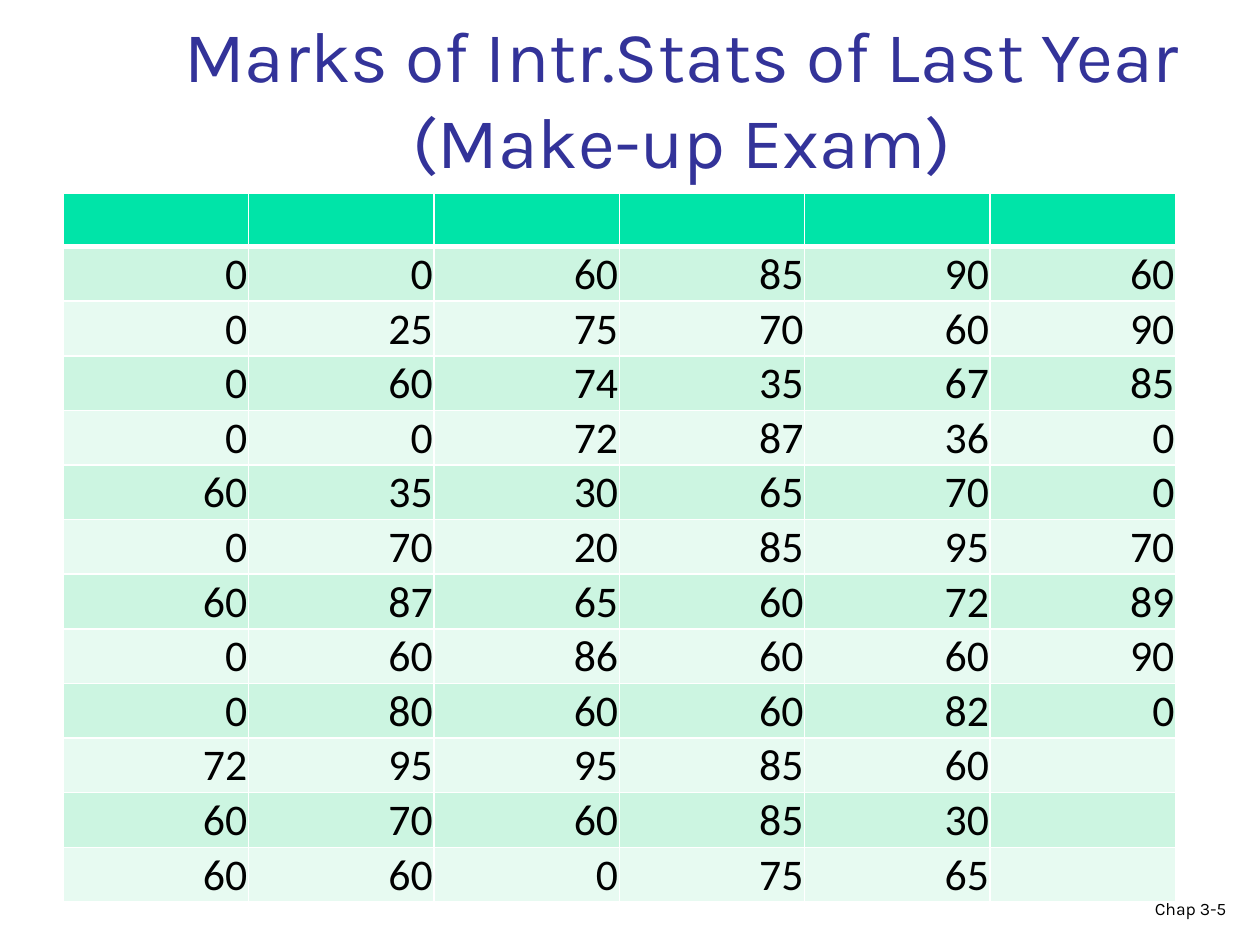
from pptx import Presentation
from pptx.dml.color import RGBColor
from pptx.enum.text import MSO_ANCHOR as Anchor, MSO_AUTO_SIZE as AutoSize, PP_ALIGN as Align
from pptx.oxml import parse_xml
from pptx.oxml.ns import nsdecls
from pptx.util import Inches, Pt

TITLE = {"name": "Karla", "size": Pt(41), "color": "333399"}
MARK = {"name": "Calibri", "size": Pt(25), "color": "000000"}
PAGE_LABEL = {"name": "Karla", "size": Pt(10), "color": "000000"}

HEADER_FILL = "00E4A8"
BAND_FILLS = ("CCF5E1", "E7FAF1")
BORDER_COLOR = "FFFFFF"
CELL_MARGINS = {"margin_left": Inches(0.01), "margin_right": Inches(0.01),
                "margin_top": Inches(0.01), "margin_bottom": 0}

# Exam marks, row by row; None leaves a cell empty
MARKS = [
    [0, 0, 60, 85, 90, 60],
    [0, 25, 75, 70, 60, 90],
    [0, 60, 74, 35, 67, 85],
    [0, 0, 72, 87, 36, 0],
    [60, 35, 30, 65, 70, 0],
    [0, 70, 20, 85, 95, 70],
    [60, 87, 65, 60, 72, 89],
    [0, 60, 86, 60, 60, 90],
    [0, 80, 60, 60, 82, 0],
    [72, 95, 95, 85, 60, None],
    [60, 70, 60, 85, 30, None],
    [60, 60, 0, 75, 65, None],
]


def rgb(color):
    return RGBColor.from_string(color)


def write_text(text_frame, text, style, align):
    paragraph = text_frame.paragraphs[0]
    paragraph.alignment = align
    run = paragraph.add_run()
    run.text = text
    for name, value in style.items():
        if name == "color":
            run.font.color.rgb = rgb(value)
        else:
            setattr(run.font, name, value)


def fill_text_shape(shape, text, style, align):
    text_frame = shape.text_frame
    text_frame.word_wrap = True
    text_frame.auto_size = AutoSize.NONE
    text_frame.vertical_anchor = Anchor.BOTTOM
    write_text(text_frame, text, style, align)


def add_title(slide, text, left, top, width, height):
    title = slide.shapes.title
    title.left, title.top = Inches(left), Inches(top)
    title.width, title.height = Inches(width), Inches(height)
    fill_text_shape(title, text, TITLE, Align.CENTER)


def add_page_label(slide, text, left, top, width, height):
    box = slide.shapes.add_textbox(Inches(left), Inches(top), Inches(width), Inches(height))
    fill_text_shape(box, text, PAGE_LABEL, Align.RIGHT)


def set_borders(cell, widths):
    # Border elements must come before the fill, in the order L, R, T, B
    properties = cell._tc.get_or_add_tcPr()
    for position, (side, width) in enumerate(widths.items()):
        properties.insert(position, parse_xml(
            f'<a:ln{side} {nsdecls("a")} w="{Pt(width)}"><a:solidFill>'
            f'<a:srgbClr val="{BORDER_COLOR}"/></a:solidFill></a:ln{side}>'))


def style_cell(cell, row):
    cell.fill.solid()
    cell.fill.fore_color.rgb = rgb(BAND_FILLS[(row - 1) % 2] if row else HEADER_FILL)
    # A thicker rule separates the header from the marks
    set_borders(cell, {"L": 1, "R": 1, "T": 3 if row == 1 else 1, "B": 1 if row else 3})


def write_mark(cell, mark):
    for name, value in CELL_MARGINS.items():
        setattr(cell, name, value)
    cell.vertical_anchor = Anchor.BOTTOM
    write_text(cell.text_frame, str(mark), MARK, Align.RIGHT)


def add_marks_table(slide, left, top, width, height):
    columns = len(MARKS[0])
    rows = [[None] * columns] + MARKS
    table = slide.shapes.add_table(len(rows), columns, Inches(left), Inches(top),
                                   Inches(width), Inches(height)).table
    for row, marks in enumerate(rows):
        for column, mark in enumerate(marks):
            cell = table.cell(row, column)
            style_cell(cell, row)
            if mark is not None:
                write_mark(cell, mark)


def main():
    presentation = Presentation()
    presentation.slide_width, presentation.slide_height = Inches(10), Inches(7.5)
    slide = presentation.slides.add_slide(presentation.slide_layouts[5])

    add_title(slide, "Marks of Intr.Stats of Last Year (Make-up Exam)", 1.08, 0.17, 8.67, 1.33)
    add_marks_table(slide, 0.5, 1.53, 8.83, 5.55)
    add_page_label(slide, "Chap 3-5", 7.75, 7, 2.08, 0.34)

    presentation.save("out.pptx")


if __name__ == "__main__":
    main()
